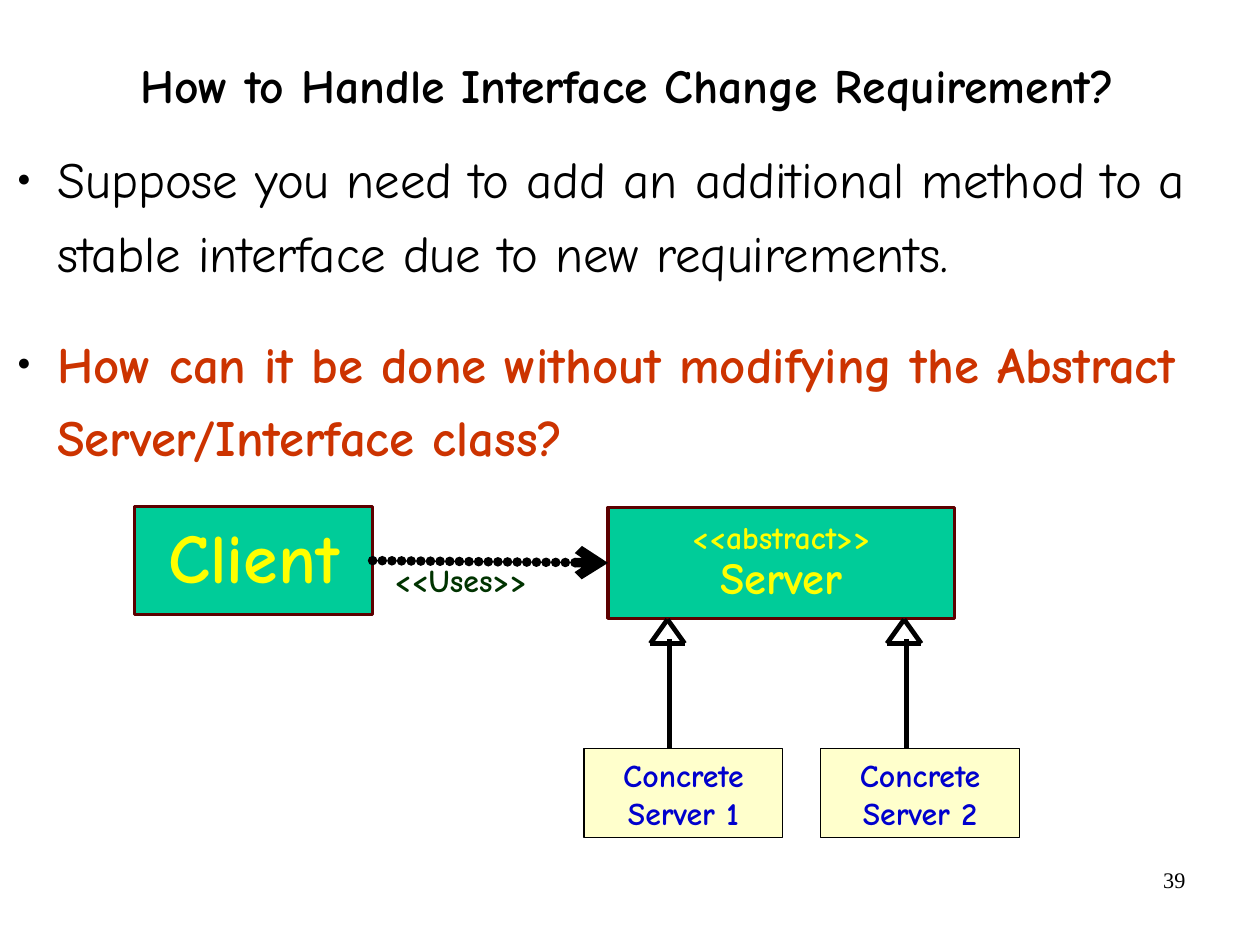
from lxml import etree
from pptx import Presentation
from pptx.dml.color import RGBColor
from pptx.enum.shapes import MSO_CONNECTOR, MSO_SHAPE
from pptx.enum.text import MSO_ANCHOR, PP_ALIGN
from pptx.oxml.ns import qn
from pptx.util import Inches, Pt

BLACK = RGBColor(0x00, 0x00, 0x00)
RED = RGBColor(0xCC, 0x33, 0x00)
GREEN = RGBColor(0x00, 0xCC, 0x99)
MAROON = RGBColor(0x5C, 0x00, 0x00)
YELLOW = RGBColor(0xFF, 0xFF, 0x00)
CREAM = RGBColor(0xFF, 0xFF, 0xCC)
BLUE = RGBColor(0x00, 0x00, 0xCC)
DARK_GREEN = RGBColor(0x00, 0x33, 0x00)
FONT = "Comic Neue"
PLAIN_FONT = "Times New Roman"
CM_PER_INCH = 2.54


def set_frame(shape, margins=(0, 0), anchor=MSO_ANCHOR.TOP):
    frame = shape.text_frame
    frame.word_wrap = True
    frame.vertical_anchor = anchor
    frame.margin_left = frame.margin_right = Inches(margins[0])
    frame.margin_top = frame.margin_bottom = Inches(margins[1])
    return frame


def add_span(para, text, size, color, bold=True, font=FONT):
    span = para.add_run()
    span.text = text
    span.font.name = font
    span.font.size = Pt(size)
    span.font.bold = bold
    span.font.color.rgb = color


def add_label(page, box, text, size, color, align=PP_ALIGN.LEFT, spacing=1.0,
              margins=(0, 0), anchor=MSO_ANCHOR.TOP, bold=True, font=FONT):
    label = page.shapes.add_textbox(*map(Inches, box))
    para = set_frame(label, margins, anchor).paragraphs[0]
    para.alignment = align
    para.line_spacing = spacing
    add_span(para, text, size, color, bold, font)


def add_bullet(para):
    props = para._p.get_or_add_pPr()
    props.set("marL", str(Inches(0.46)))
    props.set("indent", str(Inches(-0.35)))
    color = etree.SubElement(props, qn("a:buClr"))
    etree.SubElement(color, qn("a:srgbClr"), val=str(BLACK))
    etree.SubElement(props, qn("a:buSzPct"), val="45000")
    etree.SubElement(props, qn("a:buFont"), typeface=PLAIN_FONT)
    etree.SubElement(props, qn("a:buChar"), char="●")


def add_body(page, box, points):
    body = page.shapes.add_textbox(*map(Inches, box))
    frame = set_frame(body)
    for index, (text, color, bold, after) in enumerate(points):
        para = frame.add_paragraph() if index else frame.paragraphs[0]
        add_bullet(para)
        para.line_spacing = 1.2
        para.space_after = Pt(after)
        add_span(para, text, 32, color, bold)


def add_class_box(page, box, lines, fill, border, width, color, spacing, anchor):
    shape = page.shapes.add_shape(MSO_SHAPE.RECTANGLE, *map(Inches, box))
    shape.shadow.inherit = False
    shape.fill.solid()
    shape.fill.fore_color.rgb = fill
    shape.line.color.rgb = border
    shape.line.width = Pt(width)
    frame = set_frame(shape, (0.11, 0.06), anchor)
    for index, (text, size) in enumerate(lines):
        para = frame.add_paragraph() if index else frame.paragraphs[0]
        para.alignment = PP_ALIGN.CENTER
        para.line_spacing = spacing
        add_span(para, text, size, color)
    return shape


def add_line(page, start, end, width):
    line = page.shapes.add_connector(
        MSO_CONNECTOR.STRAIGHT, *map(Inches, (*start, *end)))
    line.line.color.rgb = BLACK
    line.line.width = Pt(width)
    etree.SubElement(line._element.spPr, qn("a:effectLst"))
    return line


def add_uses_arrow(page, client, server):
    arrow = add_line(page, (3.26, 4.92), (5.32, 4.92), 6)
    arrow.begin_connect(client, 3)
    arrow.end_connect(server, 1)
    # Round dots and an open arrowhead
    props = arrow.line._get_or_add_ln()
    props.set("cap", "rnd")
    dashes = etree.SubElement(props, qn("a:custDash"))
    etree.SubElement(dashes, qn("a:ds"), d="1000", sp="100000")
    etree.SubElement(props, qn("a:tailEnd"), type="arrow")


def add_inheritance(page, x, top, bottom):
    # Stem, then the three sides of the hollow head
    add_line(page, (x, top + 0.17), (x, bottom), 3)
    tip = (x - 0.02, top)
    right, left = ((tip[0] + side, top + 0.21) for side in (0.15, -0.15))
    for start, end in ((tip, right), (tip, left), (right, left)):
        add_line(page, start, end, 3)


def add_class_diagram(page, box):
    left, top = box[:2]
    main_style = (GREEN, MAROON, 2, YELLOW, 0.9, MSO_ANCHOR.MIDDLE)
    concrete_style = (CREAM, BLACK, 0.75, BLUE, 1.0, MSO_ANCHOR.TOP)

    # Client and abstract server
    client = add_class_box(page, (left, top, 2.08, 0.95),
                           [("Client", 44)], *main_style)
    server = add_class_box(page, (left + 4.14, top + 0.01, 3.03, 0.97),
                           [("<<abstract>>", 20), ("Server", 28)], *main_style)
    add_uses_arrow(page, client, server)
    add_label(page, (left + 2.17, top + 0.49, 1.75, 0.37), "<<Uses>>", 20,
              DARK_GREEN, spacing=0.8, margins=(0.1, 0.05))

    # Concrete servers
    concrete_top = top + 2.12
    for index in range(2):
        x = left + 3.93 + 2.07 * index
        add_class_box(page, (x, concrete_top, 1.74, 0.78),
                      [("Concrete", 20), (f"Server {index + 1}", 20)],
                      *concrete_style)
        add_inheritance(page, x + 0.75, top + 0.99, concrete_top)


def main():
    deck = Presentation()
    deck.slide_width = Inches(28 / CM_PER_INCH)
    deck.slide_height = Inches(21 / CM_PER_INCH)
    page = deck.slides.add_slide(deck.slide_layouts[6])

    # Page number and title
    add_label(page, (7.9, 7.53, 2.57, 0.57), "39", 14, BLACK, PP_ALIGN.RIGHT,
              margins=(0.1, 0.05), bold=False, font=PLAIN_FONT)
    add_label(page, (-0.02, 0.33, 11.02, 0.88),
              "How to Handle Interface Change Requirement?", 30, BLACK,
              PP_ALIGN.CENTER, spacing=0.88, anchor=MSO_ANCHOR.MIDDLE)

    # Bullets and diagram
    add_body(page, (0.04, 1.19, 10.58, 3.23), [
        ("Suppose you need to add an additional method to a stable interface "
         "due to new requirements.", BLACK, False, 24),
        ("How can it be done without modifying the Abstract Server/Interface "
         "class?", RED, True, 14),
    ])
    add_class_diagram(page, (1.18, 4.43, 7.74, 2.9))
    deck.save("out.pptx")


if __name__ == "__main__":
    main()
